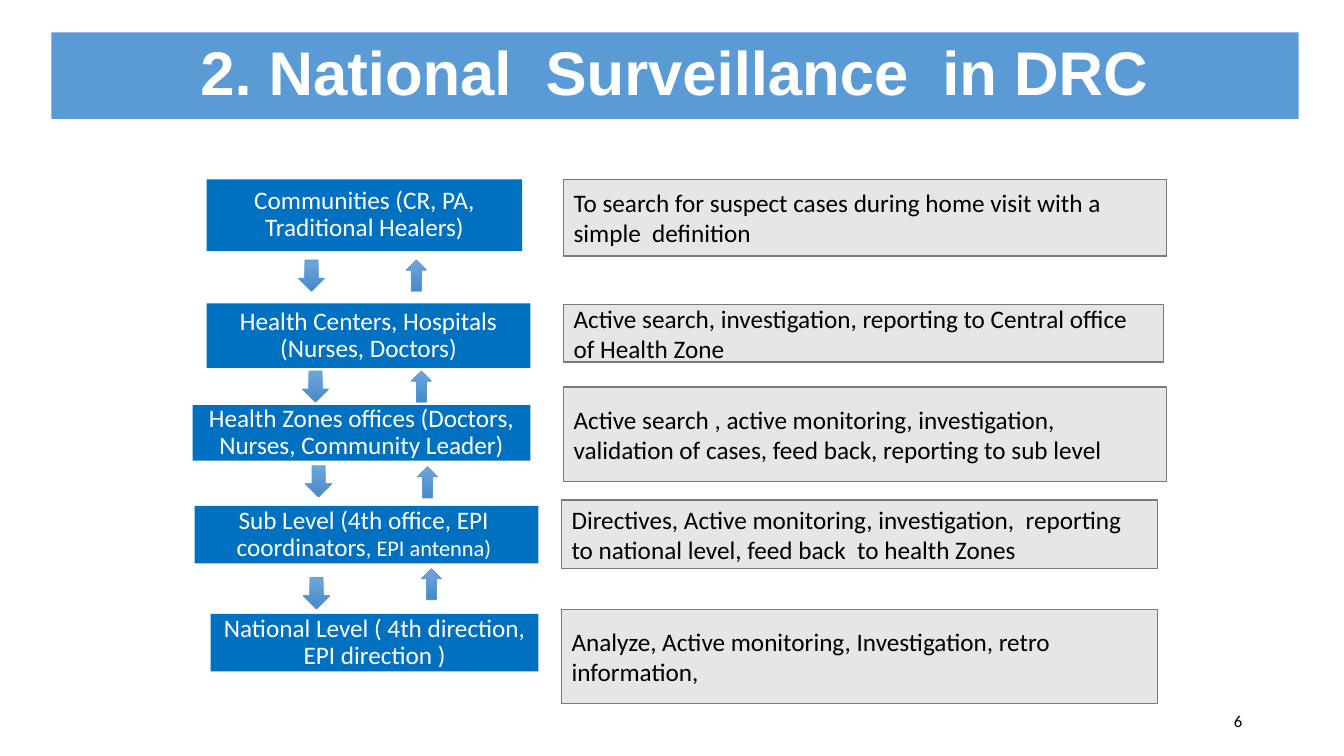
from pptx import Presentation
from pptx.dml.color import RGBColor
from pptx.enum.shapes import MSO_SHAPE
from pptx.enum.text import MSO_ANCHOR, MSO_AUTO_SIZE, PP_ALIGN
from pptx.util import Inches, Pt

RECT, DOWN, UP = MSO_SHAPE.RECTANGLE, MSO_SHAPE.DOWN_ARROW, MSO_SHAPE.UP_ARROW
LEFT, CENTER, RIGHT = PP_ALIGN.LEFT, PP_ALIGN.CENTER, PP_ALIGN.RIGHT
MIDDLE, NO_FIT = MSO_ANCHOR.MIDDLE, MSO_AUTO_SIZE.NONE

WHITE = RGBColor(0xFF, 0xFF, 0xFF)
BLACK = RGBColor(0, 0, 0)
BANNER = RGBColor(0x5B, 0x9B, 0xD5)
LEVEL_BLUE = RGBColor(0x00, 0x70, 0xC0)
ARROW_TOP = RGBColor(0x71, 0xA6, 0xDB)
ARROW_BOTTOM = RGBColor(0x44, 0x8A, 0xCA)
TASK_GREY = RGBColor(0xE7, 0xE6, 0xE6)
TASK_LINE = RGBColor(0x7A, 0x7A, 0x7A)

# Content: text runs with sizes, then left, top, width, height in inches
TITLE = "2. National  Surveillance  in DRC"
PAGE = "6"
LEVELS = [
    ([("Communities (CR, PA, Traditional Healers)", 18)], (2.05, 1.78, 3.13, 0.71)),
    ([("Health Centers, Hospitals (Nurses, Doctors)", 18)], (2.05, 3.01, 3.21, 0.64)),
    ([("Health Zones offices (Doctors, Nurses, Community Leader)", 18)],
     (1.91, 4.02, 3.35, 0.55)),
    ([("Sub Level (4th office, EPI  coordinators", 18), (", EPI antenna) ", 16)],
     (1.93, 5.02, 3.41, 0.57)),
    ([("National Level ( 4th direction, EPI direction )", 18)],
     (2.09, 6.09, 3.25, 0.57)),
]
TASKS = [
    ("To search for suspect cases during home visit with a simple  definition",
     (5.59, 1.78, 5.98, 0.76)),
    ("Active search, investigation, reporting to Central office of Health Zone",
     (5.59, 3.02, 5.95, 0.57)),
    ("Active search , active monitoring, investigation, validation of cases, "
     "feed back, reporting to sub level", (5.59, 3.84, 5.98, 0.94)),
    ("Directives, Active monitoring, investigation,  reporting to national level, "
     "feed back  to health Zones", (5.57, 4.96, 5.91, 0.68)),
    ("Analyze, Active monitoring, Investigation, retro information,",
     (5.57, 6.05, 5.91, 0.93)),
]
# Between two levels: (left, top) of the down arrow and of the up arrow
ARROWS = [
    ((2.96, 2.58), (4.03, 2.58)),
    ((3.00, 3.68), (4.08, 3.68)),
    ((3.03, 4.62), (4.14, 4.63)),
    ((3.01, 5.73), (4.18, 5.64)),
]
DOWN_W, UP_W, ARROW_H = 0.26, 0.2, 0.31


def write(sp, runs, color=BLACK, font="Calibri", bold=False, align=LEFT,
          spacing=1.0, inset=None):
    tf = sp.text_frame
    tf.word_wrap, tf.auto_size, tf.vertical_anchor = True, NO_FIT, MIDDLE
    if inset is not None:
        tf.margin_left = tf.margin_right = Inches(inset)
        tf.margin_top = tf.margin_bottom = Inches(inset)
    p = tf.paragraphs[0]
    p.alignment, p.line_spacing = align, spacing
    for text, size in runs:
        r = p.add_run()
        r.text = text
        r.font.name, r.font.size, r.font.bold = font, Pt(size), bold
        r.font.color.rgb = color


def add_shape(s, kind, box, fill=None, line=None, weight=1):
    sp = s.shapes.add_shape(kind, *map(Inches, box))
    sp.shadow.inherit = False
    if fill is not None:
        sp.fill.solid()
        sp.fill.fore_color.rgb = fill
    if line is None:
        sp.line.fill.background()
    else:
        sp.line.color.rgb = line
        sp.line.width = Pt(weight)
    return sp


def add_arrow(s, kind, left, top, width):
    sp = add_shape(s, kind, (left, top, width, ARROW_H), line=BANNER, weight=0.5)
    sp.fill.gradient()
    sp.fill.gradient_angle = 270
    for stop, color in zip(sp.fill.gradient_stops, (ARROW_TOP, ARROW_BOTTOM)):
        stop.color.rgb = color


def main():
    prs = Presentation()
    prs.slide_width, prs.slide_height = Inches(13.33), Inches(7.5)
    s = prs.slides.add_slide(prs.slide_layouts[5])

    # Title banner
    title = s.shapes.title
    title.left, title.top = Inches(0.51), Inches(0.32)
    title.width, title.height = Inches(12.37), Inches(0.86)
    title.fill.solid()
    title.fill.fore_color.rgb = BANNER
    write(title, [(TITLE, 44)], color=WHITE, font="Arial", bold=True,
          align=CENTER, spacing=0.9)

    # Levels of the system
    for runs, box in LEVELS:
        sp = add_shape(s, RECT, box, fill=LEVEL_BLUE)
        write(sp, runs, color=WHITE, align=CENTER, spacing=0.9, inset=0.07)

    # Arrows between levels
    for down, up in ARROWS:
        add_arrow(s, DOWN, *down, DOWN_W)
        add_arrow(s, UP, *up, UP_W)

    # Tasks of each level
    for text, box in TASKS:
        sp = add_shape(s, RECT, box, fill=TASK_GREY, line=TASK_LINE)
        write(sp, [(text, 18)])

    # Page number
    page = s.shapes.add_textbox(Inches(9.42), Inches(6.95), Inches(3), Inches(0.4))
    write(page, [(PAGE, 12)], align=RIGHT)

    prs.save("out.pptx")


if __name__ == "__main__":
    main()
